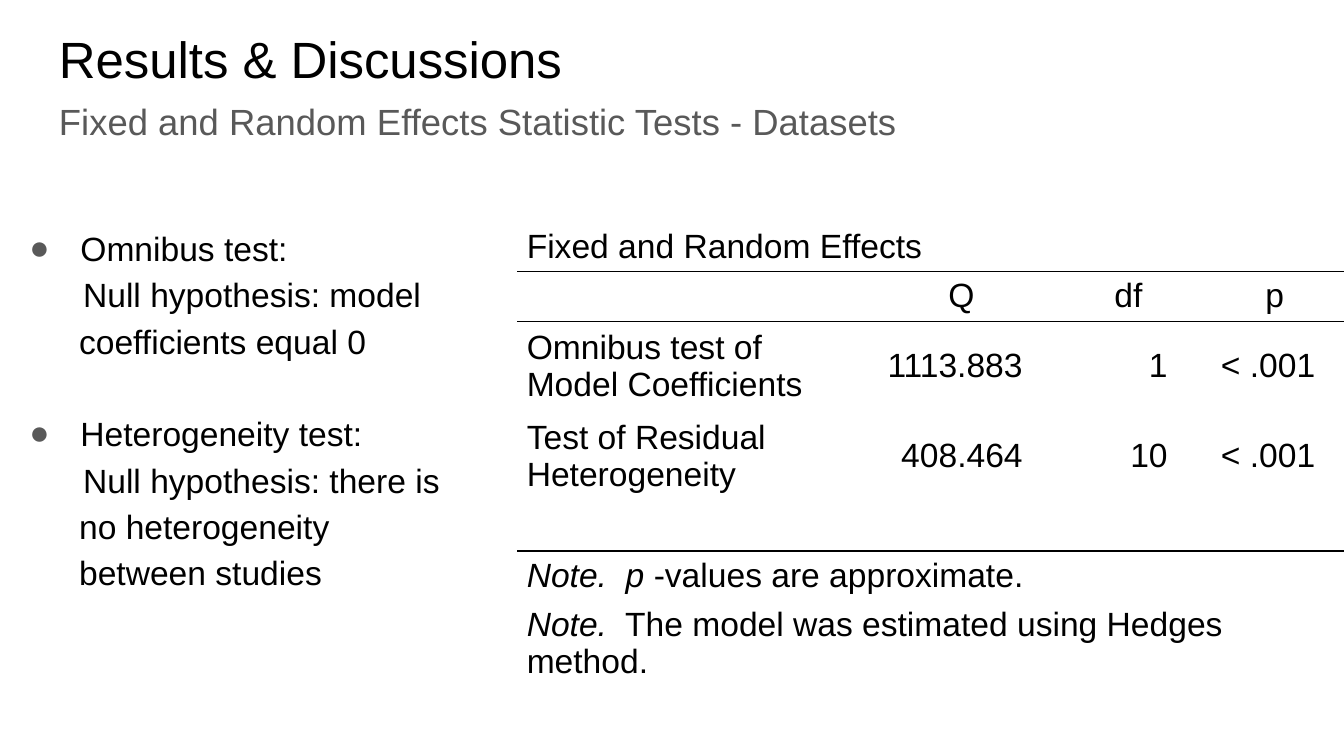
from dataclasses import dataclass

from lxml.etree import SubElement
from pptx import Presentation
from pptx.dml.color import RGBColor
from pptx.enum.text import MSO_ANCHOR, PP_ALIGN as Align
from pptx.oxml.ns import qn
from pptx.util import Inches, Pt

BLACK = RGBColor(0x00, 0x00, 0x00)
GRAY = RGBColor(0x59, 0x59, 0x59)
FONT = "Arial"
BODY_SIZE = 18
THIN, THICK = 0.6, 1.2
NO_STYLE_NO_GRID = "{2D5ABB26-0587-4C30-8999-92F81FD0307C}"

COL_WIDTHS = [2.42, 0.17, 1.23, 0.17, 0.9, 0.17, 0.92, 0.17]
ROW_HEIGHTS = [0.37, 0.37, 0.67, 0.67, 0.37, 0.37, 0.37]
VALUE_COLS = [2, 4, 6]
FULL_WIDTH_ROWS = [0, 4, 5, 6]
HEADER_ROW = 1
RULES = {0: THIN, 1: THIN, 4: THICK}  # row above the rule: line width


@dataclass
class Heading:
    text: str
    top: float
    size: float
    color: RGBColor
    line_spacing: float


@dataclass
class Hypothesis:
    test: str
    null: str
    space_before: float


@dataclass
class ResultRow:
    row: int
    label: str
    values: list[str]


HEADINGS = [
    Heading("Fixed and Random Effects Statistic Tests - Datasets", 0.64, 19.5, GRAY, 1),
    Heading("Results & Discussions", 0.16, 27.3, BLACK, 0.9),
]
HYPOTHESES = [
    Hypothesis("Omnibus test:", "Null hypothesis: model coefficients equal 0", 0),
    Hypothesis("Heterogeneity test:",
               "Null hypothesis: there is no heterogeneity between studies", 24.8),
]
RESULTS = [
    ResultRow(2, "Omnibus test of Model Coefficients", ["1113.883", "1", "< .001"]),
    ResultRow(3, "Test of Residual Heterogeneity", ["408.464", "10", "< .001"]),
]


def add_run(p, text: str, *, size: float = BODY_SIZE, color: RGBColor = BLACK,
            italic: bool = False) -> None:
    r = p.add_run()
    r.text = text
    r.font.name = FONT
    r.font.size = Pt(size)
    r.font.italic = italic
    r.font.color.rgb = color


def add_text_frame(s, left: float, top: float, width: float, height: float):
    tf = s.shapes.add_textbox(Inches(left), Inches(top), Inches(width), Inches(height)).text_frame
    tf.word_wrap = True
    tf.margin_left = tf.margin_right = tf.margin_top = tf.margin_bottom = Inches(0.1)
    return tf


def add_heading(s, heading: Heading) -> None:
    p = add_text_frame(s, 0.34, heading.top, 9.32, 0.63).paragraphs[0]
    p.line_spacing = heading.line_spacing
    add_run(p, heading.text, size=heading.size, color=heading.color)


def indent(p, left: float, first: float) -> None:
    pPr = p._p.get_or_add_pPr()
    pPr.set("marL", str(Inches(left)))
    pPr.set("indent", str(Inches(first)))


def add_bullet(p) -> None:
    pPr = p._p.get_or_add_pPr()
    color = SubElement(pPr, qn("a:buClr"))
    SubElement(color, qn("a:srgbClr"), val=str(GRAY))
    SubElement(pPr, qn("a:buFont"), typeface=FONT)
    SubElement(pPr, qn("a:buChar"), char="●")


def add_hypotheses(s) -> None:
    tf = add_text_frame(s, 0, 1.55, 3.38, 4.1)
    for i, item in enumerate(HYPOTHESES):
        p = tf.add_paragraph() if i else tf.paragraphs[0]
        p.line_spacing = 1.15
        p.space_before = Pt(item.space_before)
        indent(p, 0.5, -0.38)
        add_bullet(p)
        add_run(p, item.test)
        p = tf.add_paragraph()
        p.line_spacing = 1.15
        indent(p, 0.49, 0.03)
        add_run(p, item.null)


def set_borders(cell, top: float, bottom: float) -> None:
    """Rule a cell above and below; a width of 0 means no line."""
    tcPr = cell._tc.get_or_add_tcPr()
    for side, width in (("L", 0), ("R", 0), ("T", top), ("B", bottom)):
        if width:
            line = SubElement(tcPr, qn(f"a:ln{side}"), w=str(Pt(width)))
            fill = SubElement(line, qn("a:solidFill"))
            SubElement(fill, qn("a:srgbClr"), val=str(BLACK))
        else:
            line = SubElement(tcPr, qn(f"a:ln{side}"))
            SubElement(line, qn("a:noFill"))


def format_cell(cell, top: float, bottom: float) -> None:
    set_borders(cell, top, bottom)
    cell.fill.background()
    cell.vertical_anchor = MSO_ANCHOR.MIDDLE
    cell.margin_left = cell.margin_right = Inches(0.07)
    cell.margin_top = cell.margin_bottom = Inches(0.04)
    end = SubElement(cell.text_frame.paragraphs[0]._p, qn("a:endParaRPr"),
                     sz=str(BODY_SIZE * 100))
    SubElement(end, qn("a:latin"), typeface=FONT)


def fill_cell(cell, *runs: tuple[str, bool], align: Align = Align.LEFT) -> None:
    """Write (text, italic) runs into a cell."""
    p = cell.text_frame.paragraphs[0]
    p.alignment = align
    for text, italic in runs:
        add_run(p, text, italic=italic)


def add_results_table(s) -> None:
    frame = s.shapes.add_table(len(ROW_HEIGHTS), len(COL_WIDTHS), Inches(3.85), Inches(1.65),
                               Inches(sum(COL_WIDTHS)), Inches(sum(ROW_HEIGHTS)))
    table = frame.table
    table.first_row = table.horz_banding = False
    table._tbl.tblPr.find(qn("a:tableStyleId")).text = NO_STYLE_NO_GRID
    for col, width in zip(table.columns, COL_WIDTHS):
        col.width = Inches(width)
    for i, (row, height) in enumerate(zip(table.rows, ROW_HEIGHTS)):
        row.height = Inches(height)
        for cell in row.cells:
            format_cell(cell, RULES.get(i - 1, 0), RULES.get(i, 0))

    last = len(COL_WIDTHS) - 1
    for i in FULL_WIDTH_ROWS:
        table.cell(i, 0).merge(table.cell(i, last))
    for j in range(0, last, 2):
        table.cell(HEADER_ROW, j).merge(table.cell(HEADER_ROW, j + 1))

    fill_cell(table.cell(0, 0), ("Fixed and Random Effects", False))
    for j, name in zip(VALUE_COLS, ["Q", "df", "p"]):
        fill_cell(table.cell(HEADER_ROW, j), (name, False), align=Align.CENTER)
    for result in RESULTS:
        fill_cell(table.cell(result.row, 0), (result.label, False))
        for j, value in zip(VALUE_COLS, result.values):
            fill_cell(table.cell(result.row, j), (value, False), align=Align.RIGHT)
    fill_cell(table.cell(5, 0), ("Note.  p", True), (" -values are approximate.", False))
    fill_cell(table.cell(6, 0), ("Note.", True),
              ("  The model was estimated using Hedges method.", False))


def main() -> None:
    prs = Presentation()
    prs.slide_width = Inches(10)
    prs.slide_height = prs.slide_width * 9 // 16
    s = prs.slides.add_slide(prs.slide_layouts[6])
    add_results_table(s)
    for heading in HEADINGS:
        add_heading(s, heading)
    add_hypotheses(s)
    prs.save("out.pptx")


if __name__ == "__main__":
    main()
